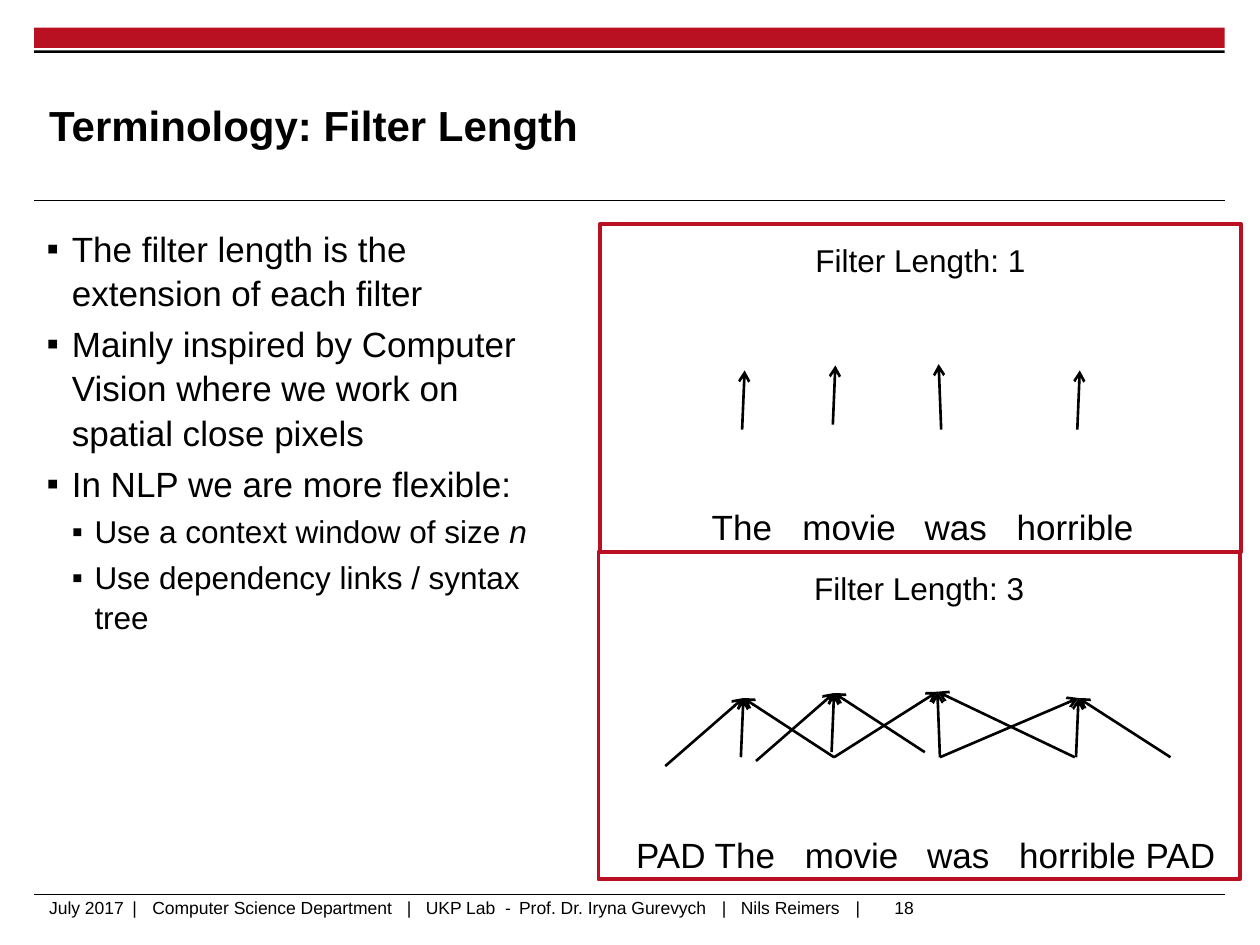
from dataclasses import dataclass

from lxml import etree
from pptx import Presentation
from pptx.dml.color import RGBColor
from pptx.enum import shapes, text
from pptx.oxml.ns import qn
from pptx.util import Inches, Pt


@dataclass(frozen=True)
class Theme:
    font: str = "Arial"
    ink: RGBColor = RGBColor(0, 0, 0)
    accent: RGBColor = RGBColor(0xB9, 0x10, 0x22)
    title: int = 24
    body: int = 20
    small: int = 18
    footer: int = 10
    leading: float = 1.05
    space_before: float = 0.2  # share of the type size


THEME = Theme()

TITLE = "Terminology: Filter Length"
BULLETS = [  # level, [(text, italic)]
    (0, [("The filter length is the extension of each filter", False)]),
    (0, [("Mainly inspired by Computer Vision where we work on spatial close pixels", False)]),
    (0, [("In NLP we are more flexible:", False)]),
    (1, [("Use a context window of size ", False), ("n", True)]),
    (1, [("Use dependency links / syntax tree", False)]),
]
LEVELS = [(THEME.body, 0.2, -0.2), (THEME.small, 0.38, -0.18)]  # size, margin, indent

FOOTER = ["July 2017", "|", "Computer Science Department", "|", "UKP Lab", "-",
          "Prof. Dr. Iryna Gurevych", "|", "Nils Reimers", "|"]
FOOTER_TABS = [0.66, 0.82, 2.84, 2.99, 3.62, 3.73, 5.34, 5.49, 6.4]
PAGE_NUMBER = "18"

# Arrow points are measured from the top left corner of a panel.
TIPS = [(1.15, 1.16), (1.87, 1.12), (2.69, 1.11), (3.81, 1.16)]
CENTRE_FEET = [(1.13, 1.63), (1.85, 1.59), (2.71, 1.63), (3.79, 1.63)]
LEFT_FEET = [(0.53, 1.7), (1.25, 1.66), (1.87, 1.63), (2.71, 1.63)]
RIGHT_FEET = [(1.87, 1.63), (2.59, 1.59), (3.78, 1.63), (4.54, 1.63)]
PANEL_SIZE = (5.09, 2.6)
PANELS = [
    dict(corner=(4.76, 1.78), caption="Filter Length: 1", feet=[CENTRE_FEET],
         words=["The", "movie", "was", "horrible"],
         words_left=0.79, tabs=[0.72, 1.69, 2.42]),
    dict(corner=(4.75, 4.38), caption="Filter Length: 3",
         feet=[CENTRE_FEET, RIGHT_FEET, LEFT_FEET],
         words=["PAD The", "movie", "was", "horrible PAD"],
         words_left=0.2, tabs=[1.34, 2.31, 3.04]),
]

RULE_LEFT, RULE_WIDTH = 0.27, 9.45
BARS = [(0.22, 0.16, THEME.accent), (0.4, 0.02, THEME.ink)]  # top, height, colour
RULES = [1.59, 7.1]


def place(shape, left, top, width, height):
    shape.left, shape.top = Inches(left), Inches(top)
    shape.width, shape.height = Inches(width), Inches(height)


def clear_insets(frame):
    frame.margin_left = frame.margin_right = frame.margin_top = frame.margin_bottom = 0


def style(para, size, bold=False):
    font = para.font
    font.name, font.size, font.bold = THEME.font, Pt(size), bold
    font.color.rgb = THEME.ink


def add_tabs(para, stops):
    tab_list = etree.SubElement(para._p.get_or_add_pPr(), qn("a:tabLst"))
    for stop in stops:
        etree.SubElement(tab_list, qn("a:tab"), pos=str(Inches(stop)), algn="l")


def add_label(page, at, label, size, tabs=(), align=text.PP_ALIGN.LEFT, leading=1.0):
    box = page.shapes.add_textbox(*map(Inches, at))
    frame = box.text_frame
    frame.word_wrap = True
    para = frame.paragraphs[0]
    para.text = label
    para.alignment = align
    para.line_spacing = leading
    if tabs:
        add_tabs(para, tabs)
    style(para, size)
    return frame


def add_rectangle(page, at):
    box = page.shapes.add_shape(shapes.MSO_SHAPE.RECTANGLE, *map(Inches, at))
    box.shadow.inherit = False
    return box


def add_line(page, start, end, weight, arrow=False):
    line = page.shapes.add_connector(
        shapes.MSO_CONNECTOR.STRAIGHT, *map(Inches, (*start, *end)))
    line.line.color.rgb = THEME.ink
    line.line.width = Pt(weight)
    if arrow:
        etree.SubElement(line.line._get_or_add_ln(), qn("a:tailEnd"), type="arrow")
    etree.SubElement(line._element.spPr, qn("a:effectLst"))


def add_frame_lines(page):
    for top, height, colour in BARS:
        bar = add_rectangle(page, (RULE_LEFT, top, RULE_WIDTH, height))
        bar.fill.solid()
        bar.fill.fore_color.rgb = colour
        bar.line.fill.background()
    for y in RULES:
        add_line(page, (RULE_LEFT, y), (RULE_LEFT + RULE_WIDTH, y), 0.6)


def add_footer(page):
    frame = add_label(page, (0.39, 7.12, 6.6, 0.25), "\t".join(FOOTER),
                      THEME.footer, FOOTER_TABS)
    clear_insets(frame)
    add_label(page, (7, 7.07, 0.48, 0.27), PAGE_NUMBER, THEME.footer)


def fill_title(title):
    place(title, 0.39, 0.53, 7.52, 0.92)
    frame = title.text_frame
    clear_insets(frame)
    frame.vertical_anchor = text.MSO_ANCHOR.MIDDLE
    frame.text = TITLE
    para = frame.paragraphs[0]
    para.alignment = text.PP_ALIGN.LEFT
    style(para, THEME.title, bold=True)


def fill_body(body):
    place(body, 0.27, 1.74, 4.1, 5.24)
    frame = body.text_frame
    frame.auto_size = text.MSO_AUTO_SIZE.NONE
    for index, (level, runs) in enumerate(BULLETS):
        para = frame.add_paragraph() if index else frame.paragraphs[0]
        size, margin, indent = LEVELS[level]
        para.level = level
        para.line_spacing = THEME.leading
        para.space_before = Pt(size * THEME.space_before if index else 0)
        props = para._p.get_or_add_pPr()
        props.set("marL", str(Inches(margin)))
        props.set("indent", str(Inches(indent)))
        etree.SubElement(props, qn("a:buFont"), typeface=THEME.font)
        etree.SubElement(props, qn("a:buChar"), char="▪")
        style(para, size)
        for words, italic in runs:
            span = para.add_run()
            span.text = words
            if italic:
                span.font.italic = True


def add_panel(page, corner, caption, feet, words, words_left, tabs):
    left, top = corner
    width, height = PANEL_SIZE
    for row in feet:
        for foot, tip in zip(row, TIPS):
            add_line(page, (left + foot[0], top + foot[1]),
                     (left + tip[0], top + tip[1]), 1.5, arrow=True)
    add_label(page, (left + words_left, top + 2.17, width - words_left, 0.43),
              "\t".join(words), THEME.body, tabs, leading=THEME.leading)
    add_label(page, (left, top + 0.07, width, 0.4), caption, THEME.small,
              align=text.PP_ALIGN.CENTER, leading=THEME.leading)
    border = add_rectangle(page, (left, top, width, height))
    border.fill.background()
    border.line.color.rgb = THEME.accent
    border.line.width = Pt(2.25)


def main():
    deck = Presentation()
    deck.slide_width, deck.slide_height = Inches(10), Inches(7.5)
    page = deck.slides.add_slide(deck.slide_layouts[1])
    add_frame_lines(page)
    add_footer(page)
    fill_title(page.shapes.title)
    fill_body(page.placeholders[1])
    for panel in PANELS:
        add_panel(page, **panel)
    deck.save("out.pptx")


if __name__ == "__main__":
    main()
